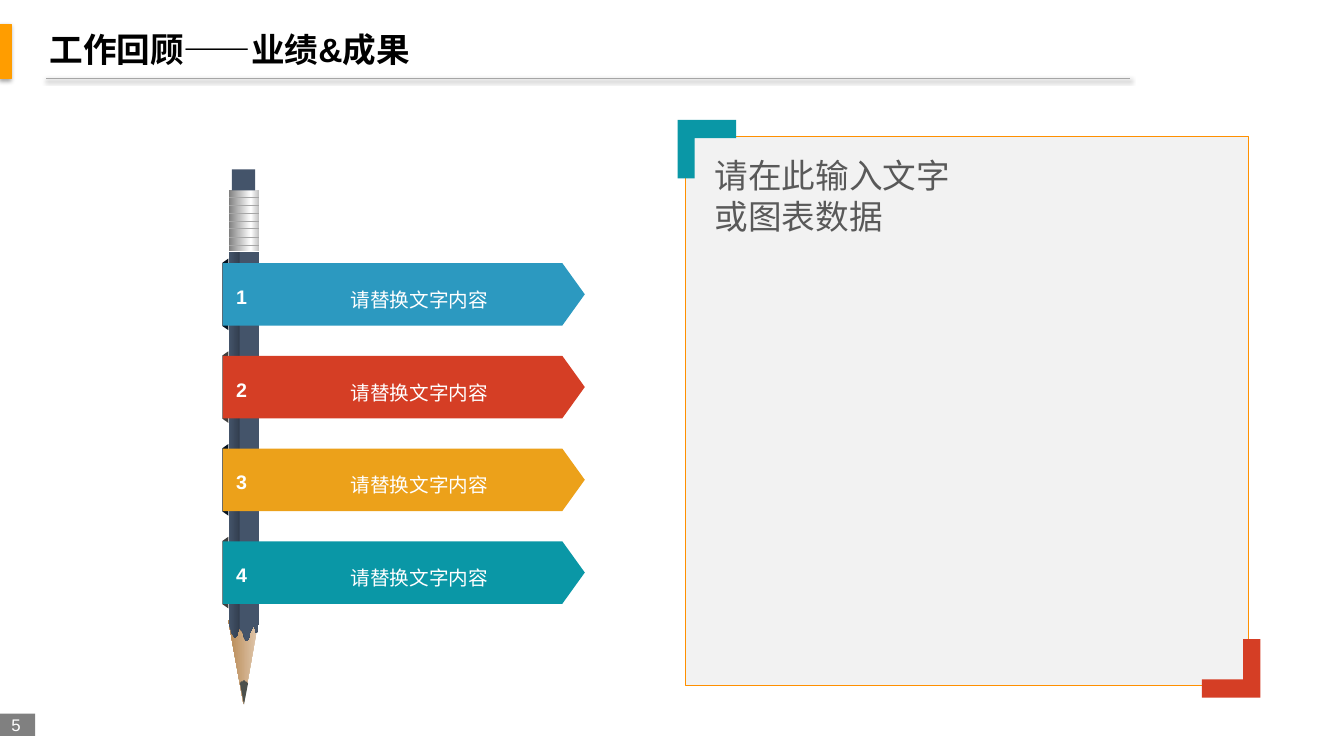
from lxml import etree
from pptx import Presentation
from pptx.dml.color import RGBColor
from pptx.enum.shapes import MSO_CONNECTOR, MSO_SHAPE
from pptx.enum.text import MSO_ANCHOR, PP_ALIGN
from pptx.oxml.ns import qn
from pptx.util import Pt

PX = 9144  # EMU in one px, 100 px to the inch
RECT, ARROW, FOLD = MSO_SHAPE.RECTANGLE, MSO_SHAPE.PENTAGON, MSO_SHAPE.TRAPEZOID
LINE = MSO_CONNECTOR.STRAIGHT
TOP, MIDDLE = MSO_ANCHOR.TOP, MSO_ANCHOR.MIDDLE
LEFT, CENTER, JUSTIFY = PP_ALIGN.LEFT, PP_ALIGN.CENTER, PP_ALIGN.JUSTIFY

WHITE = RGBColor(0xFF, 0xFF, 0xFF)
BLACK = RGBColor(0x00, 0x00, 0x00)
GREY = RGBColor(0x80, 0x80, 0x80)
SILVER = RGBColor(0xA6, 0xA6, 0xA6)
PALE = RGBColor(0xF2, 0xF2, 0xF2)
TEXT = RGBColor(0x59, 0x59, 0x59)
AMBER = RGBColor(0xFF, 0x9D, 0x00)
ORANGE = RGBColor(0xFF, 0x90, 0x00)
BLUE = RGBColor(0x2C, 0x99, 0xC0)
RED = RGBColor(0xD5, 0x3E, 0x25)
GOLD = RGBColor(0xEC, 0xA1, 0x1A)
TEAL = RGBColor(0x0A, 0x97, 0xA6)
SLATE = RGBColor(0x44, 0x54, 0x6A)
SHADE = RGBColor(0x33, 0x3F, 0x50)
LEAD = RGBColor(0x4C, 0x50, 0x4C)
NIGHT = RGBColor(0x06, 0x14, 0x22)
COAL = RGBColor(0x40, 0x40, 0x40)

# Content
TITLE = "工作回顾——业绩&成果"
PAGE = "5"
BANDS = [  # label, band colour, fold colour
    ("请替换文字内容 ", BLUE, NIGHT),
    ("请替换文字内容 ", RED, COAL),
    ("请替换文字内容 ", GOLD, NIGHT),
    ("请替换文字内容 ", TEAL, COAL),
]
NOTES = ["请在此输入文字", "或图表数据"]

# Gradient stops (percent, colour)
WOOD = [(0, RGBColor(0xE1, 0xC9, 0xAF)), (100, RGBColor(0xB8, 0x89, 0x54))]
PAINT = [(0, SLATE), (34, SHADE), (38, SLATE), (100, SLATE)]
METAL = [(0, RGBColor(0xBF, 0xBF, 0xBF)), (27, WHITE), (100, GREY)]

# Pencil outlines: a pair is a corner, three pairs are a curve
BODY = [
    (227, 250), (257, 250), (257, 616),
    ((256, 624), (255, 627), (254, 628)),
    ((252, 625), (253, 620), (251, 621)),
    ((250, 622), (247, 635), (245, 636)),
    ((243, 636), (240, 625), (238, 624)),
    ((236, 624), (235, 634), (233, 633)),
    ((230, 630), (228, 624), (227, 619)),
]
POINT = [
    (242, 675), ((244, 676), (245, 677), (246, 678)),
    (242, 699), (238, 678), ((238, 677), (240, 676), (242, 675)),
]
CORNER = [(0, 0), (58, 0), (58, 18), (17, 18), (17, 58), (0, 58)]
CURVE = 8  # straight steps in a curve


def px(*nums):
    return [round(n * PX) for n in nums]


def paint(item, fill, line=None):
    item.shadow.inherit = False
    item.fill.solid()
    item.fill.fore_color.rgb = fill
    if line is None:
        item.line.fill.background()
    else:
        item.line.color.rgb = line
        item.line.width = Pt(0.75)
    return item


def blend(item, stops, angle):
    spot = item._element.spPr.find(qn("a:solidFill"))
    grad = etree.Element(qn("a:gradFill"), rotWithShape="1")
    row = etree.SubElement(grad, qn("a:gsLst"))
    for pos, color in stops:
        stop = etree.SubElement(row, qn("a:gs"), pos=str(pos * 1000))
        etree.SubElement(stop, qn("a:srgbClr"), val=str(color))
    etree.SubElement(grad, qn("a:lin"), ang=str(angle * 60000), scaled="0")
    spot.getparent().replace(spot, grad)


def shade(item, alpha, dist):
    """Drop a soft shadow straight down."""
    props = item._element.spPr
    box = props.find(qn("a:effectLst"))
    if box is None:
        box = etree.SubElement(props, qn("a:effectLst"))
    drop = etree.SubElement(box, qn("a:outerShdw"), blurRad=str(Pt(3.1)),
                            dist=str(Pt(dist)), dir="5400000", rotWithShape="0")
    tint = etree.SubElement(drop, qn("a:srgbClr"), val=str(BLACK))
    etree.SubElement(tint, qn("a:alpha"), val=str(alpha * 1000))


def block(shapes, kind, box, fill, line=None, adj=None, turn=0):
    item = paint(shapes.add_shape(kind, *px(*box)), fill, line)
    if adj is not None:
        item.adjustments[0] = adj
    item.rotation = turn
    return item


def rule(shapes, x1, x2, y, width):
    item = shapes.add_connector(LINE, *px(x1, y, x2, y))
    item.line.color.rgb = SILVER
    item.line.width = Pt(width)
    etree.SubElement(item._element.spPr, qn("a:effectLst"))
    return item


def bend(start, curve):
    pts = (start, *curve)
    for k in range(1, CURVE + 1):
        t = k / CURVE
        mix = ((1 - t) ** 3, 3 * t * (1 - t) ** 2, 3 * t * t * (1 - t), t ** 3)
        yield tuple(sum(m * p[i] for m, p in zip(mix, pts)) for i in (0, 1))


def outline(shapes, parts, fill):
    pts = []
    for part in parts:
        pts += bend(pts[-1], part) if len(part) == 3 else [part]
    pen = shapes.build_freeform(*pts[0], scale=PX)
    pen.add_line_segments(pts[1:], close=True)
    return paint(pen.convert_to_shape(), fill)


def write(frame, lines, size, font, color, align, bold=False, space=None,
          anchor=TOP, wrap=True):
    frame.word_wrap = wrap
    frame.vertical_anchor = anchor
    frame.text = "\n".join(lines)
    for para in frame.paragraphs:
        para.alignment = align
        para.line_spacing = space
        para.font.size = Pt(size)
        para.font.name = font
        para.font.bold = bold
        para.font.color.rgb = color


def label(shapes, box, lines, *style, **more):
    write(shapes.add_textbox(*px(*box)).text_frame, lines, *style, **more)


deck = Presentation()
deck.slide_width, deck.slide_height = px(1333, 750)
slide = deck.slides.add_slide(deck.slide_layouts[5])
shapes = slide.shapes

# Title, its marker and rule
title = shapes.title
title.left, title.top, title.width, title.height = px(39, 24, 1150, 50)
write(title.text_frame, [TITLE], 24, "Arial", BLACK, LEFT, bold=True, anchor=MIDDLE)
shade(block(shapes, RECT, (0, 24, 11, 54), AMBER, AMBER), 35, 1.8)
shade(rule(shapes, 46, 1121, 78, 0.75), 38, 1.6)

# Page number
page = block(shapes, RECT, (0, 708, 35, 22), GREY).text_frame
page.margin_left = page.margin_top = page.margin_bottom = 0
page.margin_right = 3 * PX
write(page, [PAGE], 12, "Arial", WHITE, CENTER, anchor=MIDDLE)

# Pencil
pencil = shapes.add_group_shape().shapes
blend(block(pencil, ARROW, (200, 642, 83, 30), WOOD[0][1], adj=2.82, turn=90), WOOD, 90)
blend(outline(pencil, BODY, SLATE), PAINT, 0)
blend(block(pencil, RECT, (227, 189, 30, 60), GREY), METAL, 180)
block(pencil, RECT, (230, 168, 23, 21), SLATE)
outline(pencil, POINT, LEAD)
for i in range(7):
    rule(pencil, 227, 257, 196 + round(i * 47 / 6), 0.5)

# Numbered bands wrapped round the pencil
for i, (words, fill, fold) in enumerate(BANDS):
    top = 261 + 92 * i
    block(pencil, FOLD, (188, top + 28, 71, 6), fold, adj=0.7, turn=270)
    block(pencil, ARROW, (221, top, 359, 62), fill, adj=0.36)
    label(pencil, (299, top + 15, 238, 36), [words], 14, "Calibri", WHITE, CENTER,
          space=1.2)
    label(pencil, (224, top + 12, 31, 36), [str(i + 1)], 14, "Arial", WHITE, CENTER,
          bold=True, space=1.2, wrap=False)

# Panel with two corner marks
block(shapes, RECT, (680, 135, 558, 545), PALE, ORANGE)
for x, y, sign, fill in [(672, 119, 1, TEAL), (1250, 692, -1, RED)]:
    outline(shapes, [(x + sign * dx, y + sign * dy) for dx, dy in CORNER], fill)
label(shapes, (699, 149, 527, 91), NOTES, 24, "Noto Sans CJK SC", TEXT, JUSTIFY)

deck.save("out.pptx")
